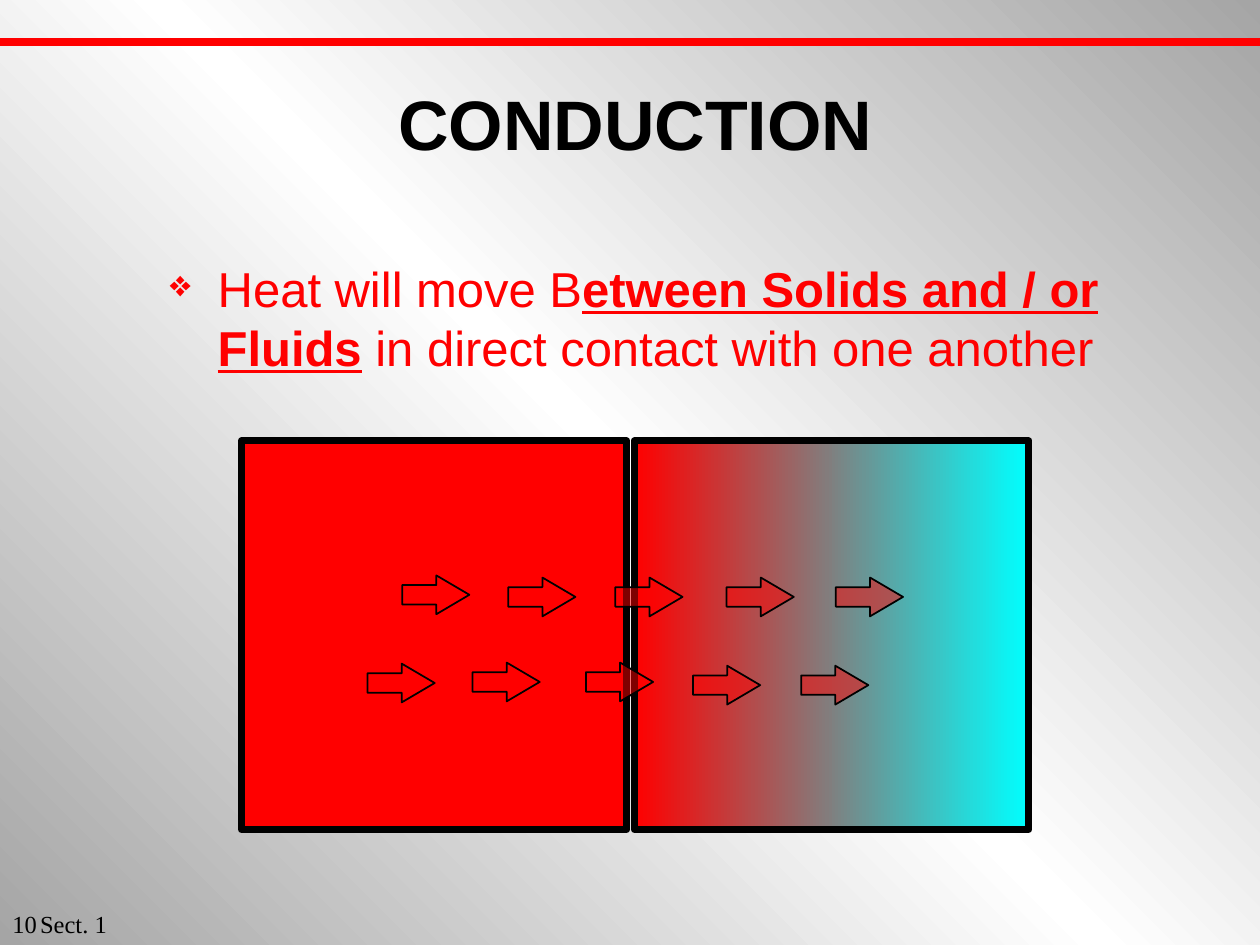
from lxml import etree
from pptx import Presentation
from pptx.dml.color import RGBColor
from pptx.enum.shapes import MSO_CONNECTOR, MSO_SHAPE
from pptx.enum.text import MSO_ANCHOR, PP_ALIGN
from pptx.oxml.ns import qn
from pptx.util import Inches, Pt

RECTANGLE, ARROW = MSO_SHAPE.RECTANGLE, MSO_SHAPE.RIGHT_ARROW
TOP, MIDDLE = MSO_ANCHOR.TOP, MSO_ANCHOR.MIDDLE
LEFT, CENTER = PP_ALIGN.LEFT, PP_ALIGN.CENTER
RED, BLACK, CYAN, GREY, WHITE = "FF0000", "000000", "00FFFF", "A5A5A5", "FFFFFF"

# The slide is a grid of 120 columns by 90 rows of square cells
CELL = Inches(10) // 120


def cells(*counts):
    return [round(count * CELL) for count in counts]


def color(hex_string):
    return RGBColor.from_string(hex_string)


prs = Presentation()
prs.slide_width, prs.slide_height = cells(120, 90)
slide = prs.slides.add_slide(prs.slide_layouts[6])
shapes = slide.shapes

# Red rule across the top
rule = shapes.add_connector(MSO_CONNECTOR.STRAIGHT, *cells(0, 4, 120, 4))
rule.line.color.rgb = color(RED)
rule.line.width = Pt(4.5)
etree.SubElement(rule._element.spPr, qn("a:effectLst"))

# Hot solid on the left, the body it warms on the right
bodies = []
for left, width in ((23, 36.7), (60.4, 37.6)):
    body = shapes.add_shape(RECTANGLE, *cells(left, 42, width, 37))
    body.shadow.inherit = False
    body.fill.solid()
    body.fill.fore_color.rgb = color(RED)
    body.line.color.rgb = color(BLACK)
    body.line.width = Pt(4)
    bodies.append(body)

# Gradients of the background and the warmed body (angle counterclockwise)
for owner, fill, angle, stops in (
    (slide._element, slide.background.fill, 225, (GREY, WHITE, GREY)),
    (bodies[1]._element, bodies[1].fill, 180, (CYAN, RED)),
):
    fill.gradient()
    fill.gradient_angle = angle
    stop_list = next(owner.iter(qn("a:gsLst")))
    for old_stop in list(stop_list):
        stop_list.remove(old_stop)
    for i, stop_color in enumerate(stops):
        position = str(100000 * i // (len(stops) - 1))
        stop = etree.SubElement(stop_list, qn("a:gs"), pos=position)
        etree.SubElement(stop, qn("a:srgbClr"), val=stop_color)

# Heat flow: two rows of translucent arrows
upper_row = ((38.3, 54.8), (48.4, 55), (58.6, 55), (69.2, 55), (79.6, 55))
lower_row = ((35, 63.2), (45, 63.1), (55.8, 63.1), (66, 63.4), (76.3, 63.4))
for left, top in upper_row + lower_row:
    heat = shapes.add_shape(ARROW, *cells(left, top, 6.4, 3.7))
    heat.adjustments[1] = 0.85
    heat.shadow.inherit = False
    heat.fill.solid()
    heat.fill.fore_color.rgb = color(RED)
    red_fill = next(heat._element.spPr.iter(qn("a:srgbClr")))
    etree.SubElement(red_fill, qn("a:alpha"), val="50000")
    heat.line.color.rgb = color(BLACK)
    heat.line.width = Pt(1)

# Title, statement and footer: place, anchor, alignment, bullet, font, runs
statement = (
    ("Heat will move B", False),
    ("etween Solids and / or Fluids", True),
    (" in direct contact with one another", False),
)
for place, anchor, align, bullet, font, size, ink, runs in (
    ((23.5, 7.4, 74, 8.5), MIDDLE, CENTER, None, "Arial", 40, BLACK, (("CONDUCTION", True),)),
    ((15, 24, 91, 14), TOP, LEFT, "❖", "Arial", 28, RED, statement),
    ((-12, 85, 38, 6), MIDDLE, CENTER, None, "Times New Roman", 14, BLACK, (("Sect. 1", False),)),
    ((0, 85, 25, 6), MIDDLE, LEFT, None, "Times New Roman", 14, BLACK, (("10", False),)),
):
    frame = shapes.add_textbox(*cells(*place)).text_frame
    frame.word_wrap = True
    frame.vertical_anchor = anchor
    paragraph = frame.paragraphs[0]
    paragraph.alignment = align
    if bullet:
        props = paragraph._p.get_or_add_pPr()
        indent = Inches(0.38)
        props.set("marL", str(indent))
        props.set("indent", str(-indent))
        bullet_color = etree.SubElement(props, qn("a:buClr"))
        etree.SubElement(bullet_color, qn("a:srgbClr"), val=ink)
        etree.SubElement(props, qn("a:buSzPct"), val="75000")
        etree.SubElement(props, qn("a:buChar"), char=bullet)
    for text, strong in runs:
        run = paragraph.add_run()
        run.text = text
        run.font.name = font
        run.font.size = Pt(size)
        run.font.color.rgb = color(ink)
        run.font.bold = strong
        run.font.underline = strong and bullet is not None

prs.save("out.pptx")
